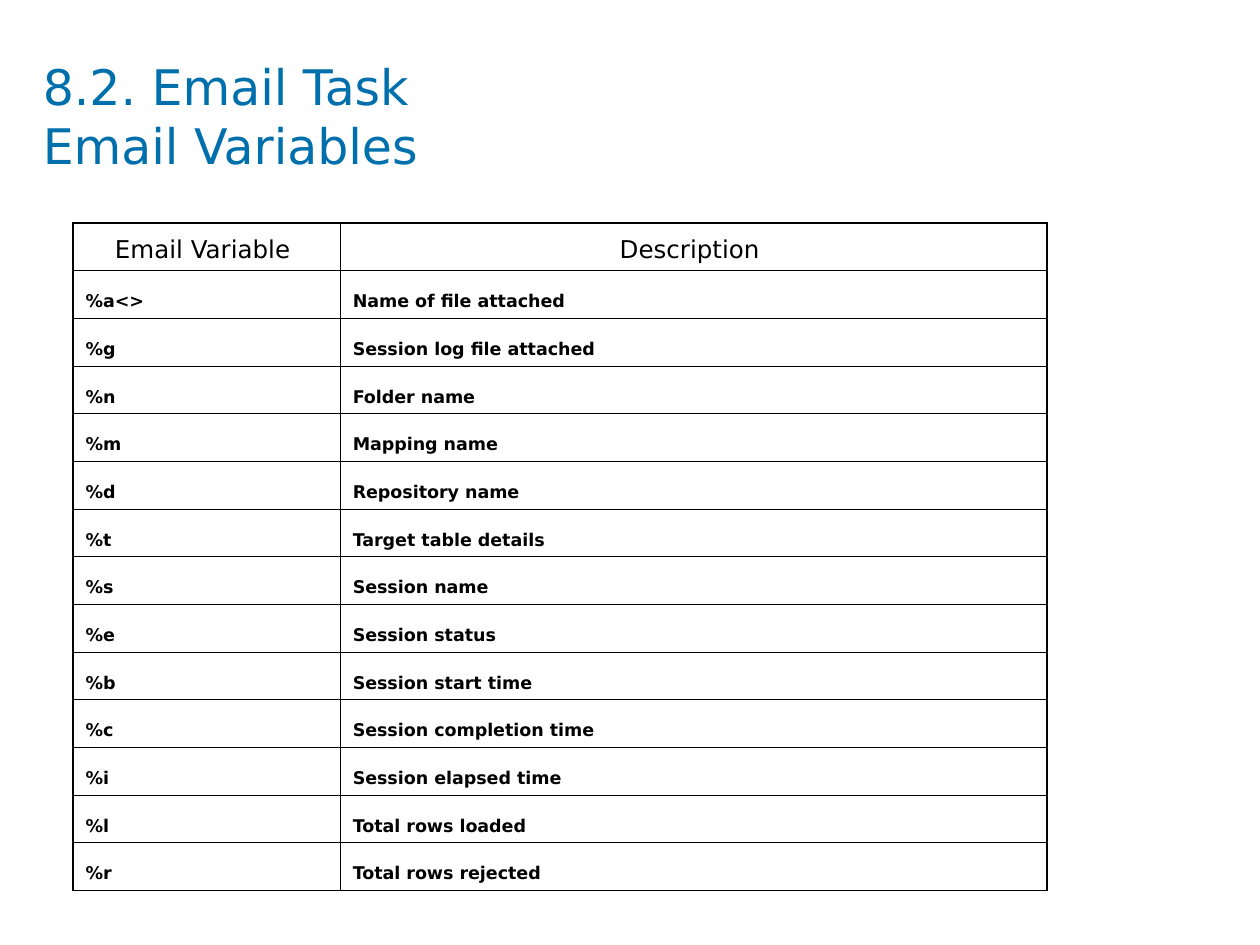
from typing import NamedTuple

import pptx
import pptx.dml.color
import pptx.enum.text
import pptx.oxml
import pptx.oxml.ns
import pptx.table
import pptx.text.text
import pptx.util
from pptx.util import Inches

Align = pptx.enum.text.PP_ALIGN
BLUE = pptx.dml.color.RGBColor(0x00, 0x70, 0xAD)
BLACK = pptx.dml.color.RGBColor(0x00, 0x00, 0x00)
FONT = "DejaVu Sans"
OUTER_LINE = pptx.util.Pt(1.08)
INNER_LINE = pptx.util.Pt(0.45)
ROW_HEIGHT = Inches(5.29 / 14)
COLUMN_WIDTHS = (Inches(2.12), Inches(5.61))

TITLE_FORMAT = {"name": FONT, "size": pptx.util.Pt(28), "color": BLUE}
HEADER_FORMAT = {"name": FONT, "size": pptx.util.Pt(14), "color": BLACK}
BODY_FORMAT = {"name": FONT, "size": pptx.util.Pt(10), "bold": True, "color": BLACK}


class EmailVariable(NamedTuple):
    code: str
    description: str


HEADER = EmailVariable("Email Variable ", "Description ")
VARIABLES = [
    EmailVariable("%a<>", "Name of file attached"),
    EmailVariable("%g", "Session log file attached"),
    EmailVariable("%n", "Folder name"),
    EmailVariable("%m", "Mapping name"),
    EmailVariable("%d", "Repository name"),
    EmailVariable("%t", "Target table details"),
    EmailVariable("%s", "Session name"),
    EmailVariable("%e", "Session status"),
    EmailVariable("%b", "Session start time"),
    EmailVariable("%c", "Session completion time"),
    EmailVariable("%i", "Session elapsed time "),
    EmailVariable("%l", "Total rows loaded"),
    EmailVariable("%r", "Total rows rejected"),
]


def format_font(font: pptx.text.text.Font, values: dict) -> None:
    for name, value in values.items():
        if name == "color":
            font.color.rgb = value
        else:
            setattr(font, name, value)


def add_border(cell: pptx.table._Cell, side: str, width: int) -> None:
    line = pptx.oxml.parse_xml(
        f'<a:ln{side} {pptx.oxml.ns.nsdecls("a")} w="{width}">'
        f'<a:solidFill><a:srgbClr val="{BLACK}"/></a:solidFill></a:ln{side}>'
    )
    cell._tc.get_or_add_tcPr().append(line)


def fill_cell(cell: pptx.table._Cell, text: str, alignment: Align, values: dict) -> None:
    cell.text = text
    paragraph = cell.text_frame.paragraphs[0]
    paragraph.alignment = alignment
    paragraph.line_spacing = pptx.util.Pt(20)
    format_font(paragraph.runs[0].font, values)


def add_title(slide: pptx.slide.Slide) -> None:
    title = slide.shapes.add_textbox(Inches(0.34), Inches(0.45), Inches(9.33), Inches(0.94))
    frame = title.text_frame
    frame.word_wrap = True
    for side in ("left", "top", "right", "bottom"):
        setattr(frame, f"margin_{side}", 0)
    frame.text = "8.2. Email Task\vEmail Variables"
    for run in frame.paragraphs[0].runs:
        format_font(run.font, TITLE_FORMAT)


def add_variable_table(slide: pptx.slide.Slide) -> None:
    rows = [HEADER, *VARIABLES]
    last_row, last_column = len(rows) - 1, len(COLUMN_WIDTHS) - 1
    table = slide.shapes.add_table(
        len(rows), len(COLUMN_WIDTHS), Inches(0.58), Inches(1.77),
        sum(COLUMN_WIDTHS), ROW_HEIGHT * len(rows),
    ).table
    table.first_row = table.horz_banding = False
    for column, width in zip(table.columns, COLUMN_WIDTHS):
        column.width = width
    for row_index, texts in enumerate(rows):
        table.rows[row_index].height = ROW_HEIGHT
        for column_index, text in enumerate(texts):
            cell = table.cell(row_index, column_index)
            if row_index == 0:
                fill_cell(cell, text, Align.CENTER, HEADER_FORMAT)
            else:
                alignment = Align.LEFT if column_index else Align.JUSTIFY
                fill_cell(cell, text, alignment, BODY_FORMAT)
            outer_sides = {
                "L": column_index == 0,
                "R": column_index == last_column,
                "T": row_index == 0,
                "B": row_index == last_row,
            }
            for side, is_outer in outer_sides.items():
                add_border(cell, side, OUTER_LINE if is_outer else INNER_LINE)
            cell.fill.background()


def main() -> None:
    presentation = pptx.Presentation()
    presentation.slide_width = Inches(10)
    presentation.slide_height = Inches(7.5)
    slide = presentation.slides.add_slide(presentation.slide_layouts[6])
    add_title(slide)
    add_variable_table(slide)
    presentation.save("out.pptx")


if __name__ == "__main__":
    main()
